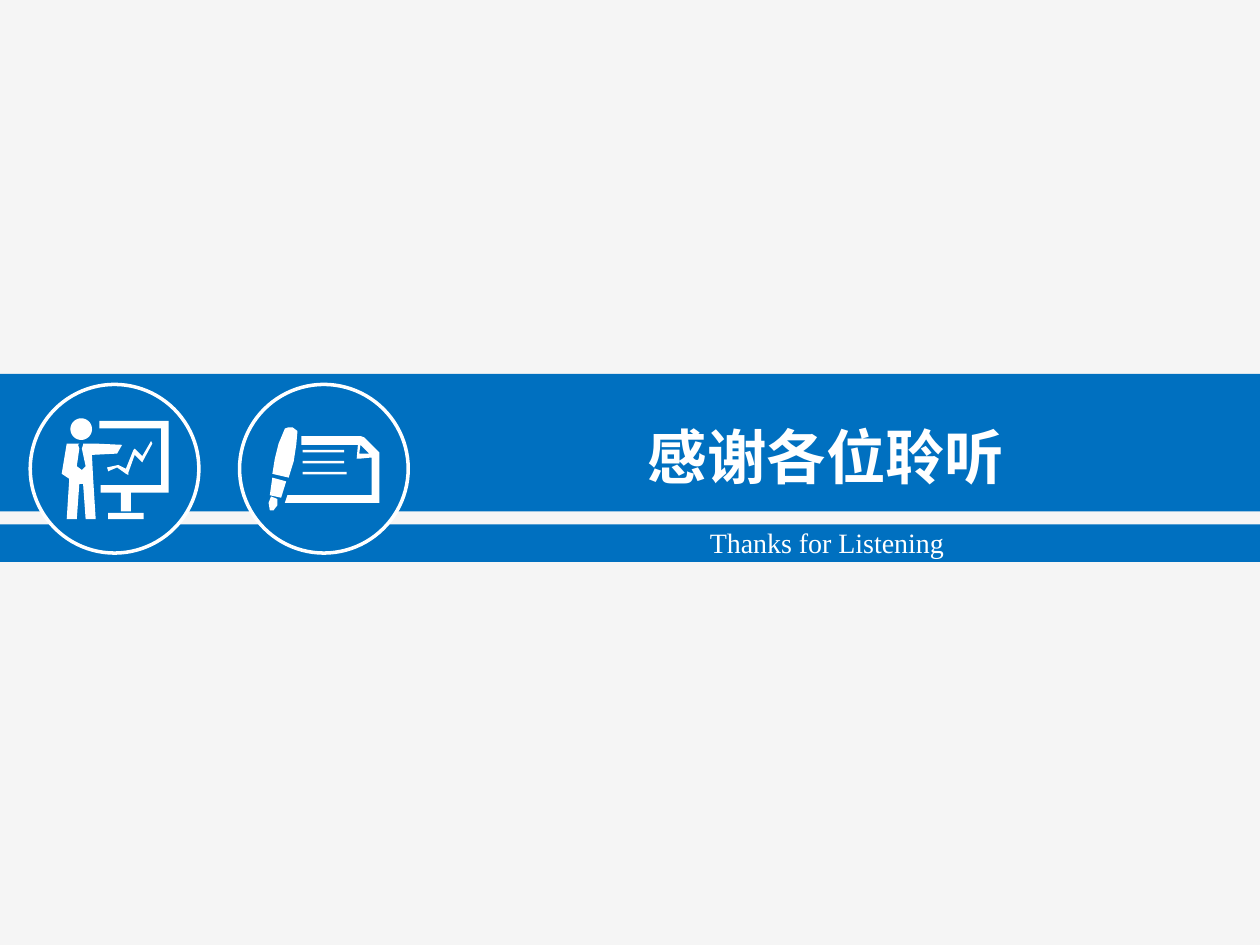
import math

import pptx
import pptx.dml.color
import pptx.enum.shapes
import pptx.enum.text
import pptx.oxml.ns
import pptx.util
from lxml import etree

BLUE = pptx.dml.color.RGBColor(0x00, 0x70, 0xC0)
WHITE = pptx.dml.color.RGBColor(0xFF, 0xFF, 0xFF)
PALE_GREY = pptx.dml.color.RGBColor(0xF5, 0xF5, 0xF5)

Cm = pptx.util.Cm
SHAPES = pptx.enum.shapes.MSO_SHAPE
DISC = Cm(3.4)
GRID = DISC / 134

TITLE_FORMAT = {"name": "Noto Sans CJK SC", "size": pptx.util.Pt(34), "bold": True}
SUBTITLE_FORMAT = {"name": "Times New Roman", "size": pptx.util.Pt(16), "bold": False}
FRAME_FORMAT = {
    "word_wrap": True,
    "auto_size": pptx.enum.text.MSO_AUTO_SIZE.SHAPE_TO_FIT_TEXT,
    "vertical_anchor": pptx.enum.text.MSO_ANCHOR.TOP,
}
PARAGRAPH_FORMAT = {"alignment": pptx.enum.text.PP_ALIGN.RIGHT, "line_spacing": 1.25}


def bar(left, top, width, height):
    """Return the corners of a rectangle on the icon grid."""
    right, bottom = left + width, top + height
    return [(left, top), (right, top), (right, bottom), (left, bottom)]


def circle(x, y, radius, steps=36):
    """Return points around a circle on the icon grid."""
    angles = [2 * math.pi * step / steps for step in range(steps)]
    return [(x + radius * math.cos(a), y + radius * math.sin(a)) for a in angles]


PRESENTER = [
    circle(40.5, 35.5, 8.6),
    [(61, 66), (70, 64), (76, 67), (82, 52), (83, 51), (89, 57), (96, 45), (97, 47),
     (90, 60), (89, 62), (83, 56), (78, 70), (78, 72), (76, 71), (69, 66), (62, 69)],
    bar(62, 102, 28, 5),
    [(80, 86), (110, 86), (110, 29), (55, 29), (55, 35), (104, 35), (104, 80),
     (56, 80), (56, 86), (72, 86), (72, 101), (80, 101)],
    [(25, 71), (31, 75), (29, 107), (37, 107), (39, 79), (42, 79), (44, 107),
     (52, 107), (50, 75), (49, 56), (69, 55), (73, 48), (51, 47), (42, 47), (42, 48),
     (41, 51), (44, 65), (41, 68), (37, 65), (39, 51), (38, 48), (39, 47), (29, 47)],
]

PEN_AND_PAGE = [
    [(36, 35), (39, 34), (42, 34), (46, 37), (45, 48), (43, 61), (39, 74),
     (26, 71), (28, 59), (31, 47)],
    [(38, 88), (36, 94), (111, 94), (111, 54), (99, 42), (96, 41), (49, 41), (49, 48),
     (94, 48), (93, 59), (95, 59), (105, 58), (105, 88)],
    [(103, 55), (95, 55), (96, 48)],
    *[bar(50, 52 + 8.75 * row, width, 2) for row, width in enumerate((33, 33, 35))],
    [(25, 89), (30, 91), (30, 96), (27, 100), (24, 100), (23, 94)],
    [(26, 74), (24, 88), (33, 90), (37, 77)],
]


def apply_format(target, values):
    """Set each named attribute on the target."""
    for name, value in values.items():
        setattr(target, name, value)


def paint(shape, color):
    """Fill a shape with one colour, without outline or shadow."""
    shape.shadow.inherit = False
    shape.fill.solid()
    shape.fill.fore_color.rgb = color
    shape.line.fill.background()


def add_bar(slide, left, top, width, height):
    """Add one blue strip."""
    strip = slide.shapes.add_shape(SHAPES.RECTANGLE, left, top, width, height)
    paint(strip, BLUE)


def add_badge(slide, left, top, outlines):
    """Add a ringed disc with a white pictogram drawn inside it."""
    disc = slide.shapes.add_shape(SHAPES.OVAL, left, top, DISC, DISC)
    paint(disc, BLUE)
    disc.line.color.rgb = WHITE
    disc.line.width = pptx.util.Pt(2)

    pen = None
    for outline in outlines:
        start, *rest = [(x * GRID, y * GRID) for x, y in outline]
        if pen is None:
            pen = slide.shapes.build_freeform(*start)
        else:
            pen.move_to(*start)
        pen.add_line_segments(rest, close=True)
    paint(pen.convert_to_shape(left, top), WHITE)


def write_line(box, words, font_format):
    """Write one right-aligned white line in a box."""
    apply_format(box.text_frame, FRAME_FORMAT)
    paragraph = box.text_frame.paragraphs[0]
    apply_format(paragraph, PARAGRAPH_FORMAT)
    run = paragraph.add_run()
    run.text = words
    apply_format(run.font, font_format)
    run.font.color.rgb = WHITE
    east_asian = etree.SubElement(run.font._element, pptx.oxml.ns.qn("a:ea"))
    east_asian.set("typeface", font_format["name"])


def add_banner(slide, left, top, width):
    """Place the strips, closing words and badges of the banner."""
    add_bar(slide, left, top + Cm(3.03), width, Cm(0.76))
    add_bar(slide, left, top, width, Cm(2.77))

    title = slide.shapes.title
    title.element.getparent().append(title.element)
    title_box = {"left": left + Cm(6.53), "top": top + Cm(0.44),
                 "width": Cm(13.97), "height": Cm(1.9)}
    apply_format(title, title_box)
    write_line(title, "感谢各位聆听", TITLE_FORMAT)

    subtitle = slide.shapes.add_textbox(
        left + Cm(7.65), top + Cm(2.77), Cm(11.63), Cm(1.02))
    write_line(subtitle, "Thanks for Listening", SUBTITLE_FORMAT)

    for column, outlines in enumerate((PRESENTER, PEN_AND_PAGE)):
        add_badge(slide, left + Cm(0.61 + 4.22 * column), top + Cm(0.21), outlines)


def main():
    """Build the closing slide and save it."""
    deck = pptx.Presentation()
    apply_format(deck, {"slide_width": Cm(25.4), "slide_height": Cm(19.05)})
    closing = deck.slides.add_slide(deck.slide_layouts[5])
    closing.background.fill.solid()
    closing.background.fill.fore_color.rgb = PALE_GREY
    add_banner(closing, Cm(0), Cm(7.54), deck.slide_width)
    deck.save("out.pptx")


if __name__ == "__main__":
    main()
